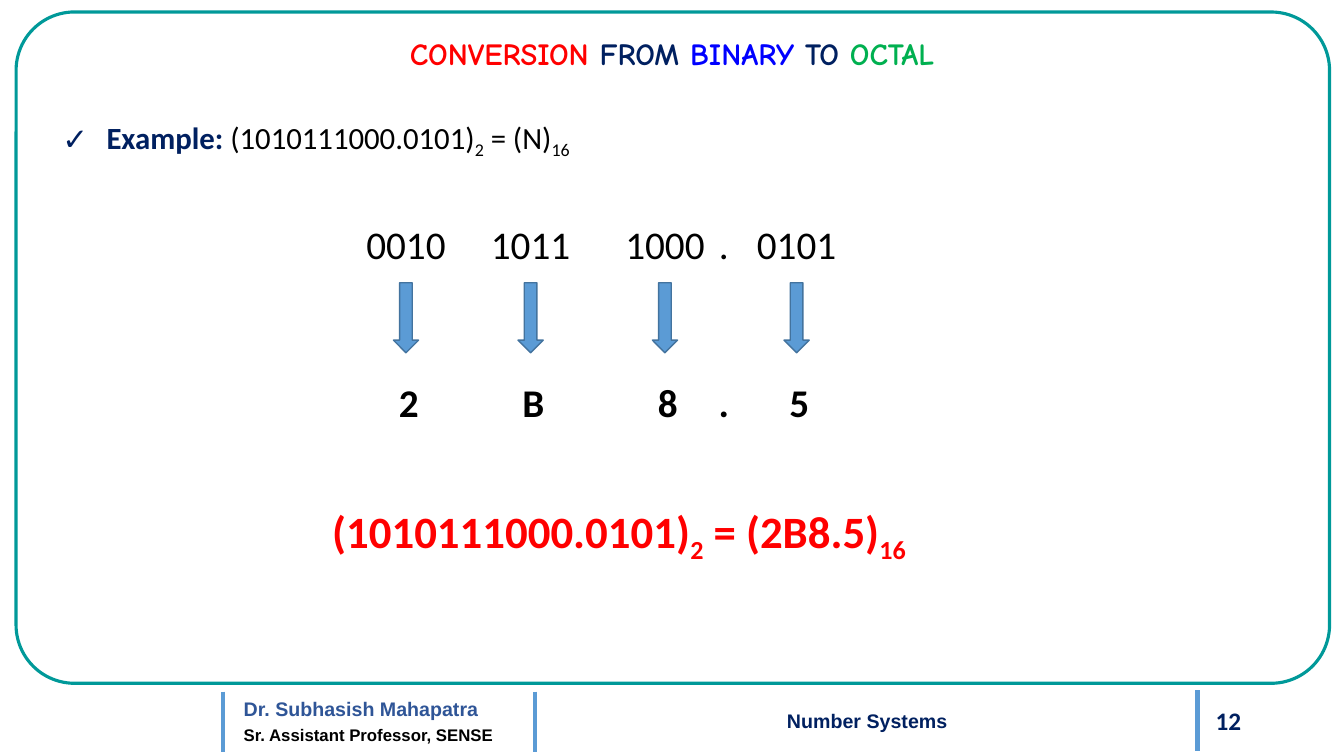
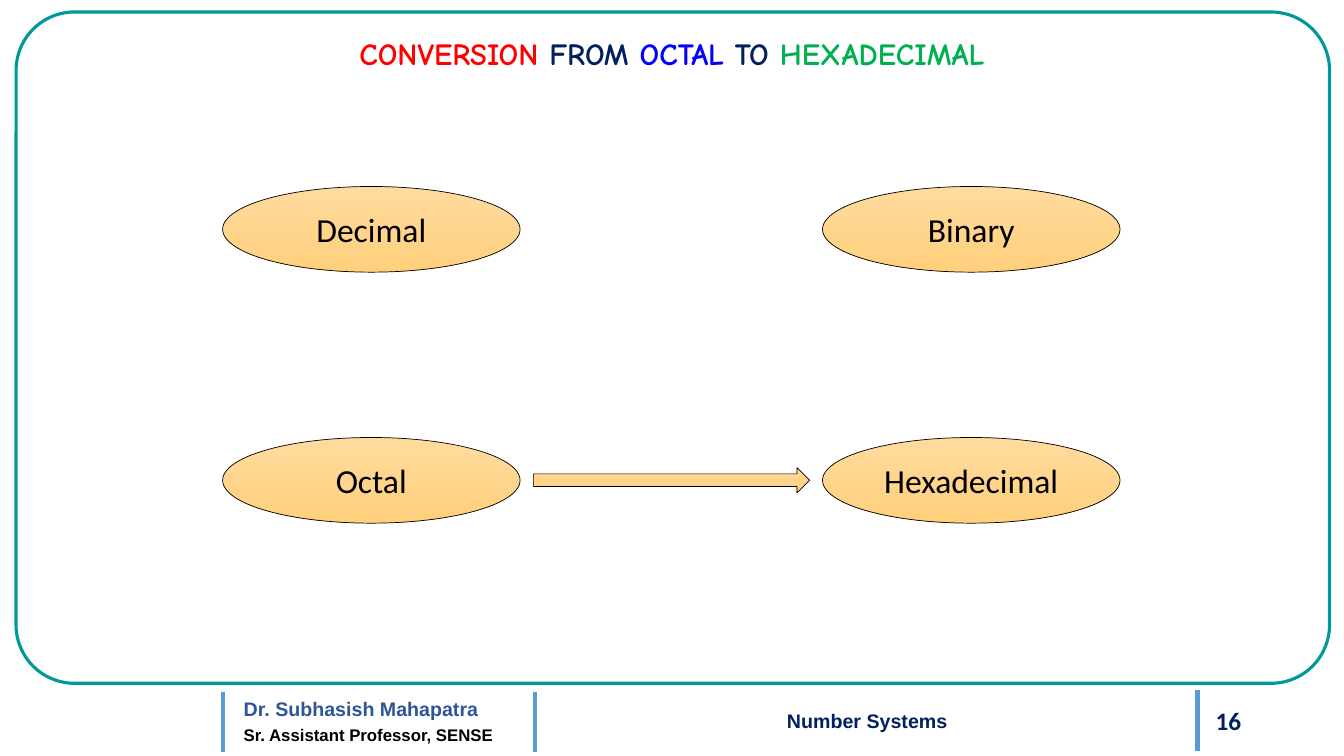
from pptx import Presentation
from pptx.dml.color import RGBColor
from pptx.enum.shapes import MSO_CONNECTOR, MSO_SHAPE
from pptx.enum.text import MSO_ANCHOR, MSO_AUTO_SIZE, PP_ALIGN
from pptx.util import Pt
from lxml.etree import SubElement
from pptx.oxml.ns import qn

NAVY, BLUE, BLACK, RED = "002060", "5B9BD5", "000000", "FF0000"
GOLD = ("FFDB9E", "FFD07C")
LEFT, CENTER, RIGHT = PP_ALIGN.LEFT, PP_ALIGN.CENTER, PP_ALIGN.RIGHT


def tint(color):
    return RGBColor.from_string(color)


def put(para, text, size=22, color=BLACK, font="Calibri", bold=False, sub=False):
    run = para.add_run()
    run.text = text
    run.font.size = Pt(size)
    run.font.name = font
    run.font.bold = bold
    run.font.color.rgb = tint(color)
    if sub:
        run._r.get_or_add_rPr().set("baseline", "-25000")


def formula(para, parts, **style):
    for i, part in enumerate(parts):
        put(para, part, sub=i % 2 == 1, **style)


def area(x, y, w, h):
    return Pt(x), Pt(y), Pt(w), Pt(h)


def box(slide, x, y, w, h, align=LEFT, anchor=MSO_ANCHOR.TOP):
    frame = slide.shapes.add_textbox(*area(x, y, w, h)).text_frame
    frame.word_wrap = True
    frame.vertical_anchor = anchor
    para = frame.paragraphs[0]
    para.alignment = align
    return para


def label(slide, mid, y, text, **style):
    put(box(slide, mid - 45, y, 90, 41, CENTER), text, size=28, **style)


def shape(slide, kind, x, y, w, h, fill=None, line=BLACK, width=0.5):
    item = slide.shapes.add_shape(kind, *area(x, y, w, h))
    item.shadow.inherit = False
    if fill is None:
        item.fill.background()
    elif isinstance(fill, tuple):
        item.fill.gradient()
        item.fill.gradient_angle = 270
        for stop, color in zip(item.fill.gradient_stops, fill):
            stop.color.rgb = tint(color)
    else:
        item.fill.solid()
        item.fill.fore_color.rgb = tint(fill)
    item.line.color.rgb = tint(line)
    item.line.width = Pt(width)
    return item


def bar(slide, x, y):
    line = slide.shapes.add_connector(
        MSO_CONNECTOR.STRAIGHT, Pt(x), Pt(y), Pt(x), Pt(y + 43.5))
    line.line.color.rgb = tint(BLUE)
    line.line.width = Pt(3)
    SubElement(line._element.spPr, qn("a:effectLst"))


def title(slide, source, target):
    head = slide.shapes.title
    head.left, head.top, head.width, head.height = area(37.5, 21, 885, 34)
    frame = head.text_frame
    frame.auto_size = MSO_AUTO_SIZE.NONE
    frame.vertical_anchor = MSO_ANCHOR.TOP
    para = frame.paragraphs[0]
    para.alignment = CENTER
    words = (("CONVERSION", RED), (" FROM ", NAVY), (source, "0000FF"),
             (" TO ", NAVY), (target, "00B050"))
    for word, color in words:
        put(para, word, color=color, font="Comic Neue", bold=True)


def footer(slide, number):
    name = box(slide, 167, 491, 241, 45)
    put(name, "Dr. Subhasish Mahapatra", size=14, color="2F5597",
        font="Arial", bold=True)
    role = name._parent.add_paragraph()
    put(role, "Sr. Assistant Professor, SENSE", size=12, font="Arial", bold=True)
    for para in (name, role):
        para.line_spacing = 1.2
    put(box(slide, 795, 500.4, 98.6, 28.8, RIGHT, MSO_ANCHOR.MIDDLE),
        str(number), size=18, color=NAVY, bold=True)
    put(box(slide, 429, 502.6, 381, 24.5, CENTER), "Number Systems",
        size=14, color=NAVY, font="Arial", bold=True)
    for x, y in ((159.1, 494), (382.3, 494), (855.4, 493)):
        bar(slide, x, y)


def page(deck, number, source, target):
    slide = deck.slides.add_slide(deck.slide_layouts[5])
    border = shape(slide, MSO_SHAPE.ROUNDED_RECTANGLE, 11.5, 8.6, 938.2, 479.5,
                   line="009999", width=2.25)
    border.adjustments[0] = 0.087
    title(slide, source, target)
    footer(slide, number)
    return slide


def check(para):
    para.line_spacing = 1.2
    para.space_after = Pt(6)
    props = para._p.get_or_add_pPr()
    props.set("marL", str(Pt(31.5)))
    props.set("indent", str(Pt(-31.5)))
    SubElement(props, qn("a:buFont")).set("typeface", "Arial")
    SubElement(props, qn("a:buChar")).set("char", "✓")


def example(slide):
    para = box(slide, 37.5, 75, 885, 37)
    check(para)
    put(para, "Example: ", color=NAVY, bold=True)
    formula(para, ("(1010111000.0101)", "2", " = (N)", "16"))
    columns = ((290, "0010", "2"), (379, "1011", "B"),
               (475, "1000", "8"), (569, "0101", "5"))
    for mid, bits, digit in columns:
        label(slide, mid, 154, bits)
        shape(slide, MSO_SHAPE.DOWN_ARROW, mid - 9, 202, 18, 50,
              fill=BLUE, line="43739E", width=1)
        label(slide, mid + 2, 266.5, digit, bold=True)
    label(slide, 517, 154, ".")
    label(slide, 517, 266.5, ".", bold=True)
    formula(box(slide, 140.4, 356.4, 603.4, 46, CENTER),
            ("(1010111000.0101)", "2", " = (2B8.5)", "16"),
            size=32, color=RED, bold=True)


def bases(slide):
    grid = (("Decimal", "Binary"), ("Octal", "Hexadecimal"))
    for row, names in enumerate(grid):
        for col, name in enumerate(names):
            oval = shape(slide, MSO_SHAPE.OVAL, 159 + 428.5 * col,
                         133.2 + 179.3 * row, 212.5, 61.2, fill=GOLD)
            oval.text_frame.vertical_anchor = MSO_ANCHOR.MIDDLE
            para = oval.text_frame.paragraphs[0]
            para.alignment = CENTER
            put(para, name, size=24)
    shape(slide, MSO_SHAPE.RIGHT_ARROW, 381, 334, 197.3, 18, fill=GOLD)


def main():
    deck = Presentation()
    deck.slide_width, deck.slide_height = Pt(960), Pt(540)
    example(page(deck, 12, "BINARY", "OCTAL"))
    bases(page(deck, 16, "OCTAL", "HEXADECIMAL"))
    deck.save("out.pptx")


if __name__ == "__main__":
    main()
